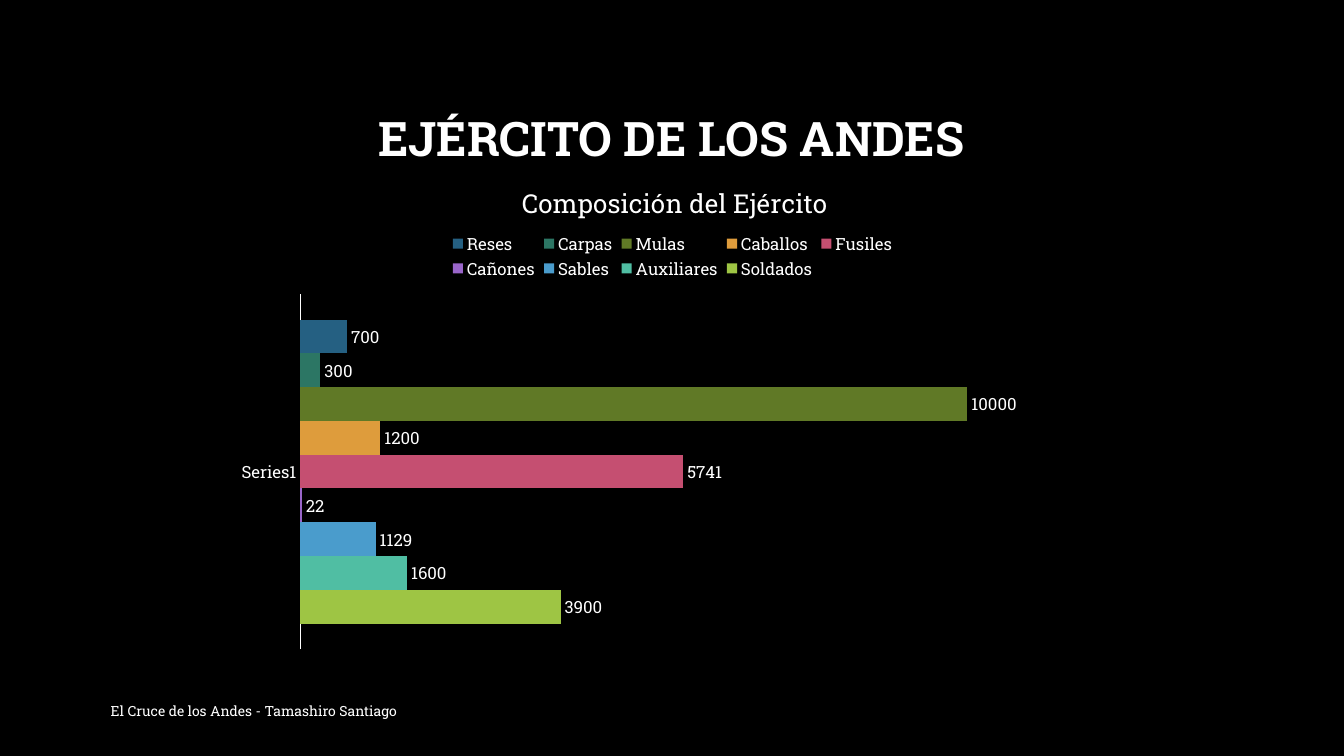
from lxml.etree import SubElement
from pptx import Presentation
from pptx.chart.data import CategoryChartData
from pptx.dml.color import RGBColor
from pptx.enum.chart import XL_CHART_TYPE, XL_LABEL_POSITION, XL_LEGEND_POSITION, XL_TICK_MARK
from pptx.enum.text import MSO_ANCHOR, PP_ALIGN
from pptx.oxml.ns import qn
from pptx.util import Inches, Pt

COLORS = {
    "background": "000000", "text": "FFFFFF",
    "Soldados": "9EC544", "Auxiliares": "50BEA3", "Sables": "4A9CCC",
    "Cañones": "9A66CA", "Fusiles": "C54F71", "Caballos": "DE9C3C",
    "Mulas": "607926", "Carpas": "2C7664", "Reses": "256082",
}
ARMY = {
    "Soldados": 3900, "Auxiliares": 1600, "Sables": 1129, "Cañones": 22, "Fusiles": 5741,
    "Caballos": 1200, "Mulas": 10000, "Carpas": 300, "Reses": 700,
}


def color(name):
    return RGBColor.from_string(COLORS[name])


def style_font(font, size, bold=False):
    font.name = "Roboto Slab"
    font.size = Pt(size)
    font.bold = bold
    font.color.rgb = color("text")


def write(frame, text, size=12, bold=False, align=PP_ALIGN.LEFT, spacing=1.0):
    para = frame.paragraphs[0]
    para.alignment = align
    para.line_spacing = spacing
    span = para.add_run()
    span.text = text
    style_font(span.font, size, bold)


def place(part, index, frame, area, inner=False):
    """Set a chart part's manual layout; area is in slide inches."""
    for old in part.findall(qn("c:layout")):
        part.remove(old)
    layout = SubElement(part, qn("c:layout"))
    part.insert(index, layout)
    manual = SubElement(layout, qn("c:manualLayout"))
    left, top, width, height = frame
    settings = [("layoutTarget", "inner")] if inner else []
    settings += [("xMode", "edge"), ("yMode", "edge"),
                 ("x", (area[0] - left) / width), ("y", (area[1] - top) / height)]
    if len(area) == 4:
        settings += [("w", area[2] / width), ("h", area[3] / height)]
    for tag, value in settings:
        SubElement(manual, qn(f"c:{tag}")).set("val", str(value))


class ArmySlide:
    def __init__(self, deck):
        self.page = deck.slides.add_slide(deck.slide_layouts[6])
        fill = self.page.background.fill
        fill.solid()
        fill.fore_color.rgb = color("background")

    def text(self, area, text, **style):
        box = self.page.shapes.add_textbox(*map(Inches, area))
        box.text_frame.word_wrap = True
        box.text_frame.vertical_anchor = MSO_ANCHOR.MIDDLE
        write(box.text_frame, text, **style)

    def bar_chart(self, frame, title, values):
        data = CategoryChartData()
        data.categories = ["Series1"]
        for name, value in values.items():
            data.add_series(name, [value])
        chart = self.page.shapes.add_chart(
            XL_CHART_TYPE.BAR_CLUSTERED, *map(Inches, frame), data).chart
        style_font(chart.font, 10)

        # Title and legend
        chart.has_title = True
        write(chart.chart_title.text_frame, title, size=18.6, align=PP_ALIGN.CENTER)
        chart.chart_title.include_in_layout = False
        chart.has_legend = True
        chart.legend.position = XL_LEGEND_POSITION.TOP
        chart.legend.include_in_layout = False
        style_font(chart.legend.font, 12)

        # Axes
        names, scale = chart.category_axis, chart.value_axis
        names.major_tick_mark = names.minor_tick_mark = XL_TICK_MARK.NONE
        style_font(names.tick_labels.font, 12)
        names.format.line.color.rgb = color("text")
        names.format.line.width = Pt(0.75)
        scale.minimum_scale, scale.maximum_scale = 0, 12000
        scale.has_major_gridlines = False
        scale.visible = False

        # Bars
        plot = chart.plots[0]
        plot.gap_width = 150
        plot.overlap = 0
        plot.vary_by_categories = False
        for series in plot.series:
            series.format.fill.solid()
            series.format.fill.fore_color.rgb = color(series.name)
            labels = series.data_labels
            labels.show_value = True
            labels.position = XL_LABEL_POSITION.OUTSIDE_END
            style_font(labels.font, 12)

        # Places of the chart parts
        root = chart.element.find(qn("c:chart"))
        place(root.find(qn("c:title")), 1, frame, (5.13, 1.77))
        place(root.find(qn("c:legend")), 1, frame, (4.4, 2.28, 4.54, 0.52))
        place(root.find(qn("c:plotArea")), 0, frame, (2.98, 2.92, 7.94, 3.52), inner=True)


def main():
    deck = Presentation()
    deck.slide_width, deck.slide_height = Inches(13.33), Inches(7.5)
    slide = ArmySlide(deck)
    slide.text((1, 0.67, 11.32, 1.45), "EJÉRCITO DE LOS ANDES",
               size=34, bold=True, align=PP_ALIGN.CENTER, spacing=0.9)
    slide.text((1, 6.85, 7.3, 0.4), "El Cruce de los Andes - Tamashiro Santiago", size=10)
    slide.bar_chart((2.22, 1.53, 8.89, 5), "Composición del Ejército", ARMY)
    deck.save("out.pptx")


if __name__ == "__main__":
    main()
